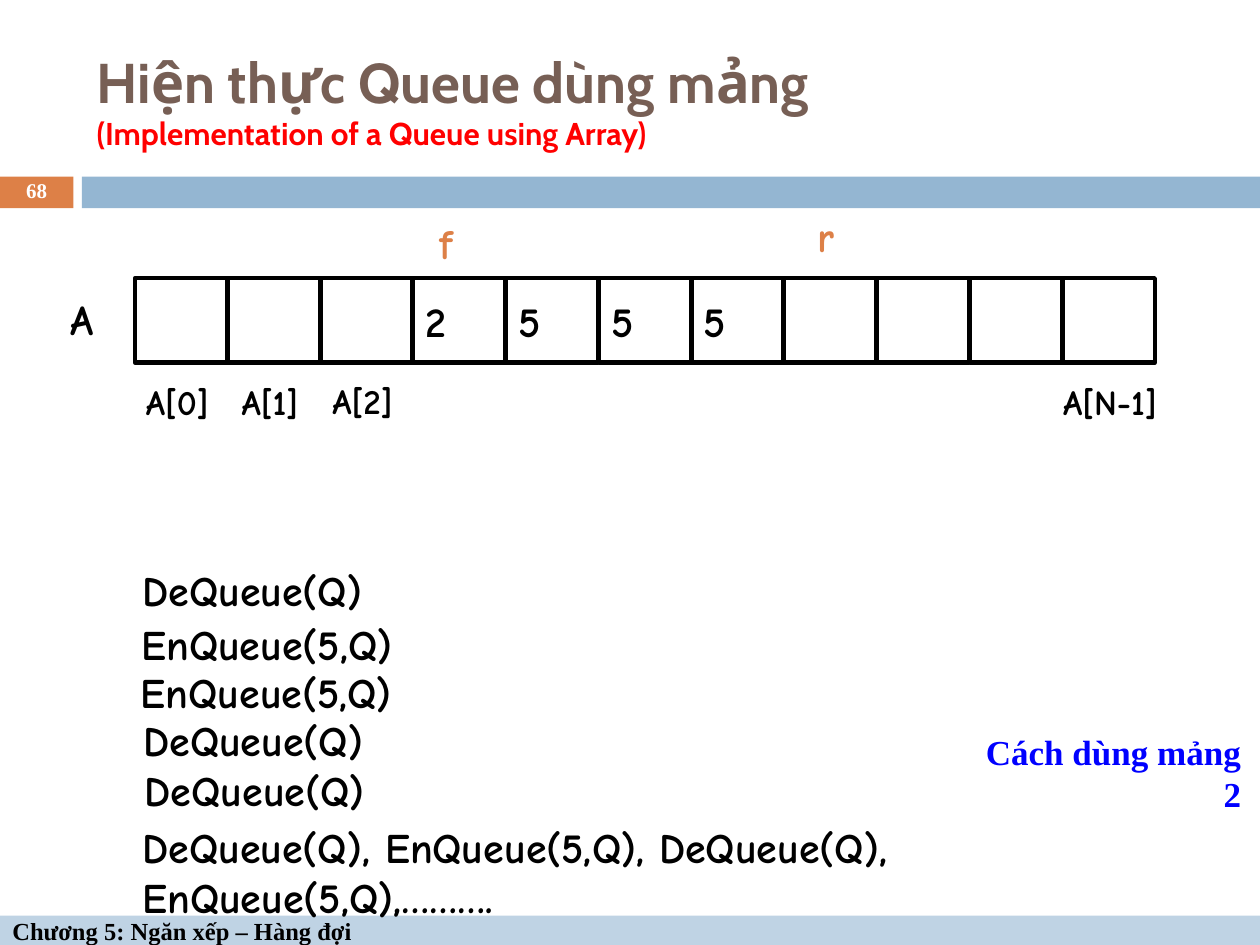
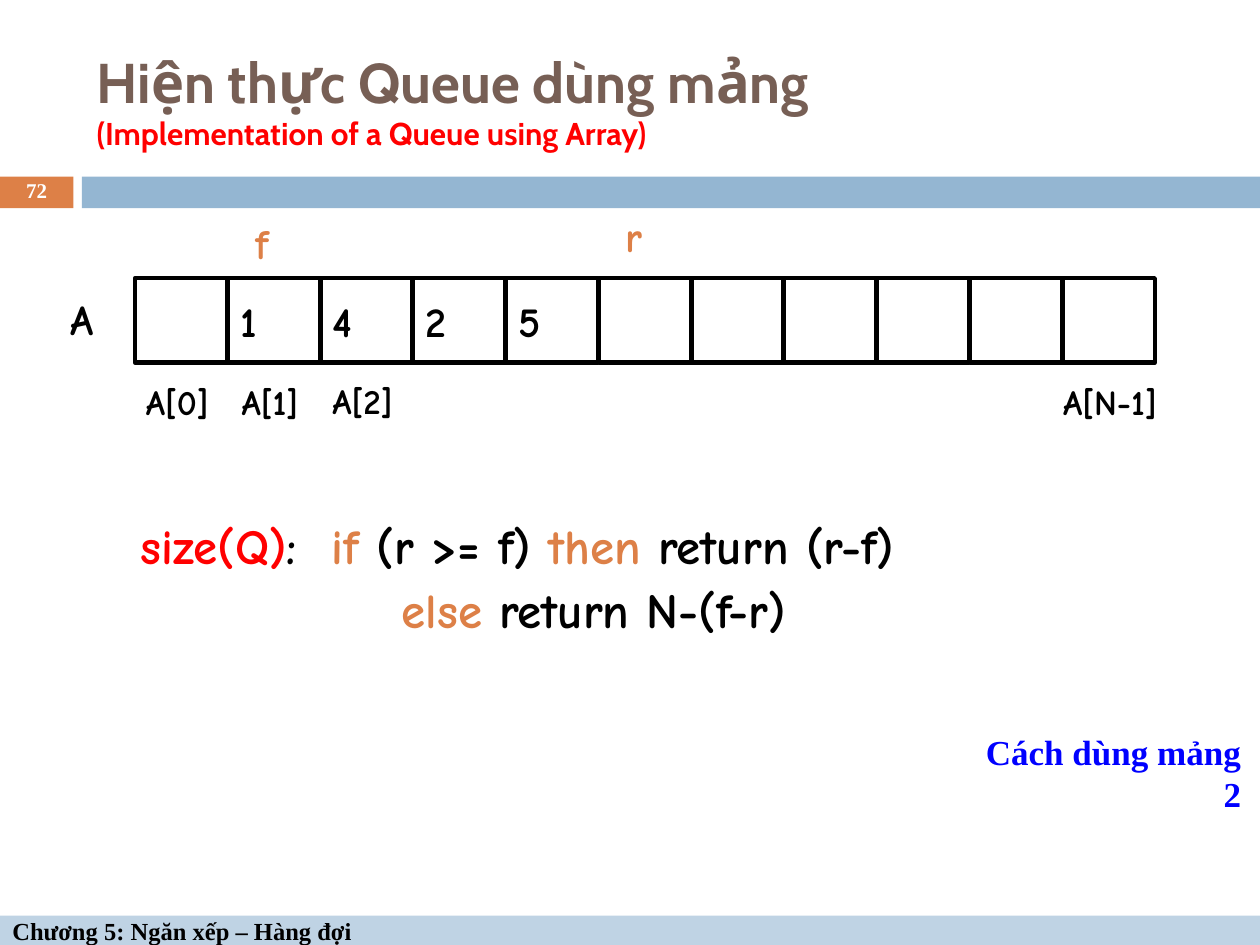
from dataclasses import dataclass
from pptx import Presentation
from pptx.dml.color import RGBColor as RGB
from pptx.enum.shapes import MSO_SHAPE as SHAPE
from pptx.enum.text import MSO_ANCHOR as ANCHOR, PP_ALIGN as ALIGN
from pptx.oxml.ns import qn
from pptx.util import Cm, Pt


@dataclass(frozen=True)
class Theme:
    black: str = "000000"
    white: str = "FFFFFF"
    red: str = "FF0000"
    blue: str = "0000FF"
    brown: str = "775F55"
    orange: str = "DD8047"
    band: str = "94B6D2"
    footer: str = "BFD3E4"
    heading: str = "Cabin"
    body: str = "Comic Neue"
    serif: str = "Times New Roman"
    title_size: int = 32
    subtitle_size: int = 18
    formula_size: int = 28
    body_size: int = 24
    label_size: int = 20
    footer_size: int = 14
    number_size: int = 12


T = Theme()


def box(s, x, y, w, h, fill=None, line=None):
    at = [Cm(v) for v in (x, y, w, h)]
    if not (fill or line):
        return s.shapes.add_textbox(*at)
    sp = s.shapes.add_shape(SHAPE.RECTANGLE, *at)
    sp.shadow.inherit = False
    if fill:
        sp.fill.solid()
        sp.fill.fore_color.rgb = RGB.from_string(fill)
    else:
        sp.fill.background()
    if line:
        sp.line.color.rgb = RGB.from_string(line)
        sp.line.width = Pt(2.5)
    else:
        sp.line.fill.background()
    return sp


def write(sp, text, size=T.body_size, color=T.black, font=T.body, align=ALIGN.LEFT,
          anchor=ANCHOR.TOP, wrap=True, spacing=1.0, before=0, indent=0, tab=0):
    tf = sp.text_frame
    tf.word_wrap = wrap
    tf.vertical_anchor = anchor
    p = tf.add_paragraph() if tf.text else tf.paragraphs[0]
    pPr = p._p.get_or_add_pPr()
    if indent:
        pPr.set("marL", str(Cm(indent)))
    if tab:
        tabs = pPr.makeelement(qn("a:tabLst"), {})
        tabs.append(tabs.makeelement(qn("a:tab"), {"pos": str(Cm(tab)), "algn": "l"}))
        pPr.append(tabs)
    p.alignment = align
    p.line_spacing = spacing
    p.space_before = Pt(before)
    runs = [(text, color)] if isinstance(text, str) else text
    for words, run_color in runs:
        r = p.add_run()
        r.text = words
        r.font.size = Pt(size)
        r.font.name = font
        r.font.bold = True
        r.font.color.rgb = RGB.from_string(run_color)


prs = Presentation()
prs.slide_width, prs.slide_height = Cm(25.4), Cm(19.05)

CELL_COUNT, CELL_LEFT, CELL_STEP = 11, 2.72, 1.87
INDEX_LABELS = [("A[0]", 2.69, 7.54), ("A[1]", 4.62, 7.54),
                ("A[2]", 6.45, 7.52), ("A[N-1]", 21.18, 7.54)]
QUEUES = [
    {"number": "68", "values": {3: "2", 4: "5", 5: "5", 6: "5"}, "front": 8.61, "rear": 16.23},
    {"number": "72", "values": {1: "1", 2: "4", 3: "2", 4: "5"}, "front": 4.9, "rear": 12.37},
]

slides = []
for queue in QUEUES:
    s = prs.slides.add_slide(prs.slide_layouts[6])
    slides.append(s)

    number = box(s, 0, 3.56, 1.48, 0.64, fill=T.orange)
    write(number, queue["number"], size=T.number_size, color=T.white, font=T.serif,
          align=ALIGN.CENTER, anchor=ANCHOR.MIDDLE, spacing=0.8)
    box(s, 1.65, 3.56, 23.75, 0.64, fill=T.band)
    footer = box(s, 0, 18.46, 25.4, 0.59, fill=T.footer)
    write(footer, "Chương 5: Ngăn xếp – Hàng đợi", size=T.footer_size, font=T.serif,
          anchor=ANCHOR.MIDDLE)

    title = box(s, 1.7, 0.64, 22.66, 2.74)
    write(title, "Hiện thực Queue dùng mảng", size=T.title_size, color=T.brown,
          font=T.heading, anchor=ANCHOR.MIDDLE)
    write(title, "(Implementation of a Queue using Array)", size=T.subtitle_size,
          color=T.red, font=T.heading, anchor=ANCHOR.MIDDLE)

    for i in range(CELL_COUNT):
        cell = box(s, CELL_LEFT + i * CELL_STEP, 5.61, 1.86, 1.7, line=T.black)
        if i in queue["values"]:
            write(cell, queue["values"][i], anchor=ANCHOR.MIDDLE)
    write(box(s, 1.17, 5.79, 1.93, 1.27), "A")
    for label, x, y in INDEX_LABELS:
        write(box(s, x, y, 3, 1.12), label, size=T.label_size)
    write(box(s, queue["front"], 4.27, 1.83, 1.27), "f", color=T.orange)
    write(box(s, queue["rear"], 4.11, 1.83, 1.27), "r", color=T.orange)

    write(box(s, 19.1, 14.61, 6.17, 1.12), "Cách dùng mảng 2", size=T.label_size,
          color=T.blue, font=T.serif, align=ALIGN.RIGHT, wrap=False)

operations, size_rule = slides

for text, x, y, w in [
    ("DeQueue(Q)", 2.62, 11.25, 8.2),
    ("EnQueue(5,Q)", 2.6, 12.34, 8.2),
    ("EnQueue(5,Q)", 2.59, 13.31, 8.2),
    ("DeQueue(Q)", 2.64, 14.27, 8.2),
    ("DeQueue(Q)", 2.67, 15.29, 8.2),
    ("DeQueue(Q), EnQueue(5,Q), DeQueue(Q), EnQueue(5,Q),……….", 2.62, 16.43, 22.48),
]:
    write(box(operations, x, y, w, 1.27), text)

formula = box(size_rule, 2.59, 10.26, 19.63, 2.67)
write(formula, [("size(Q)", T.red), (":\t", T.black), ("if", T.orange),
                (" (r >= f) ", T.black), ("then", T.orange), (" return (r-f)", T.black)],
      size=T.formula_size, tab=3.85)
write(formula, [("else ", T.orange), ("return N-(f-r)", T.black)],
      size=T.formula_size, spacing=0.5, before=17.5, indent=5.26)

prs.save("out.pptx")
